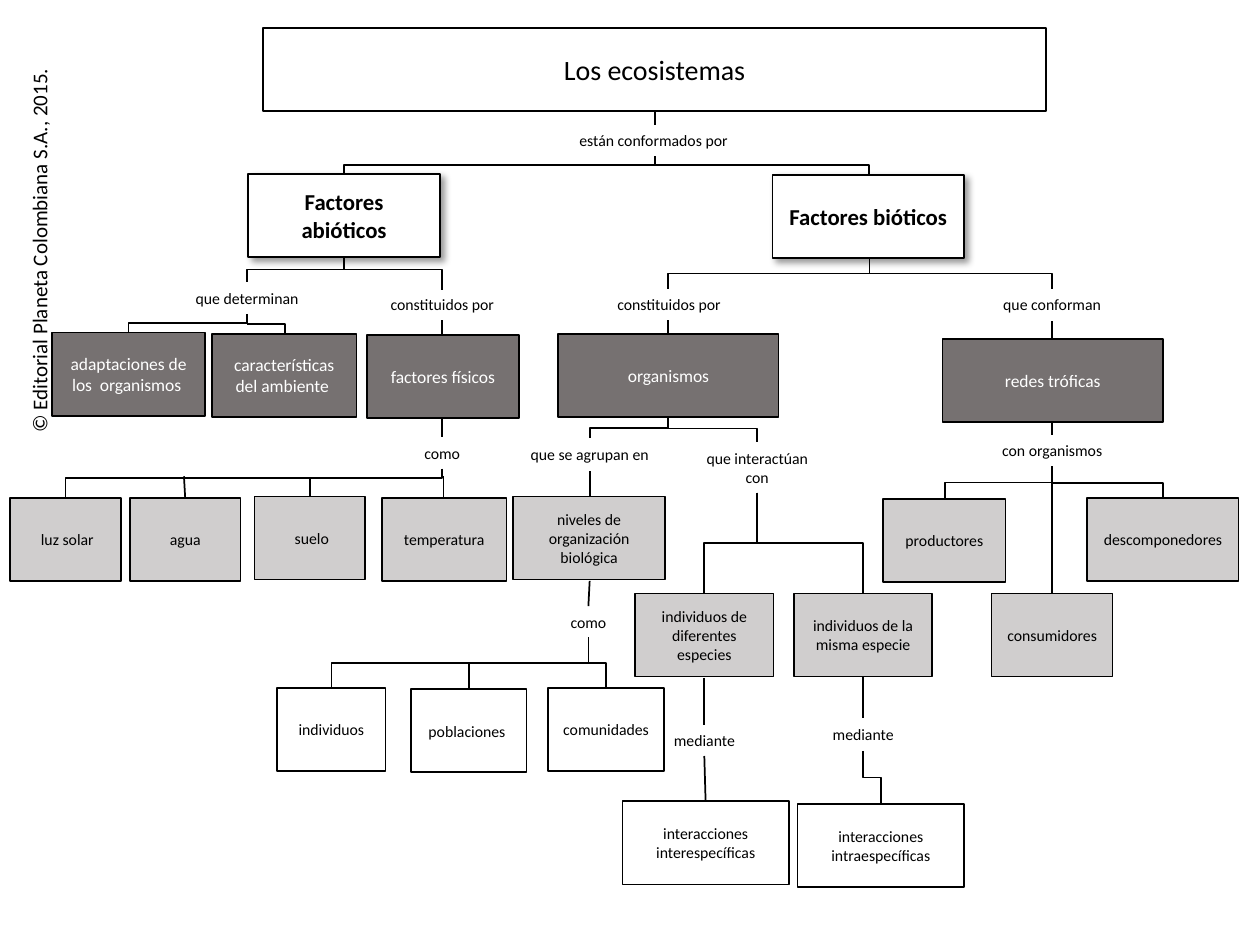
"""Build a concept map of ecosystems on one slide."""
from typing import NamedTuple

from lxml import etree
from pptx import Presentation
from pptx.dml.color import RGBColor
from pptx.enum import shapes, text
from pptx.oxml import ns
from pptx.util import Inches, Pt

COLORS = {"ink": "000000", "paper": "FFFFFF", "dark": "767171", "light": "D0CECE"}
FONT = "Calibri"
BOX_H = 0.66


class Style(NamedTuple):
    fill: str
    ink: str
    size: int
    bold: bool = False
    shadow: bool = False


class Box(NamedTuple):
    x: float
    y: float
    w: float
    words: str


class Label(NamedTuple):
    x: float
    y: float
    w: float
    words: str
    h: float = 0.25


class Line(NamedTuple):
    x1: float
    y1: float
    x2: float
    y2: float


class Elbow(NamedTuple):
    x1: float
    y1: float
    x2: float
    y2: float
    bend: float = 0.5


LEVELS = {
    Style("paper", "ink", 16): [Box(2.09, 0.22, 6.21, "Los ecosistemas")],
    Style("paper", "ink", 13, True, True): [
        Box(1.97, 1.38, 1.52, "Factores abióticos"),
        Box(6.13, 1.39, 1.52, "Factores bióticos"),
    ],
    Style("dark", "paper", 10): [
        Box(0.41, 2.64, 1.22, "adaptaciones de los  organismos "),
        Box(1.68, 2.65, 1.15, "características del ambiente "),
        Box(2.91, 2.66, 1.21, "factores físicos"),
        Box(4.43, 2.65, 1.75, "organismos"),
        Box(7.48, 2.69, 1.75, "redes tróficas"),
    ],
    Style("light", "ink", 9): [
        Box(0.08, 3.95, 0.88, " luz solar"),
        Box(1.03, 3.95, 0.88, "agua"),
        Box(2.02, 3.94, 0.88, " suelo"),
        Box(3.03, 3.95, 0.99, "temperatura"),
        Box(4.07, 3.94, 1.21, "niveles de organización biológica"),
        Box(7.01, 3.96, 0.97, "productores"),
        Box(7.87, 4.71, 0.96, "consumidores"),
        Box(8.63, 3.95, 1.2, "descomponedores"),
        Box(5.04, 4.71, 1.1, "individuos de diferentes especies"),
        Box(6.3, 4.71, 1.1, "individuos de la misma especie"),
    ],
    Style("paper", "ink", 9): [
        Box(2.2, 5.46, 0.86, "individuos"),
        Box(3.26, 5.47, 0.92, "poblaciones "),
        Box(4.35, 5.46, 0.92, "comunidades"),
        Box(4.94, 6.36, 1.32, "interacciones interespecíficas"),
        Box(6.33, 6.38, 1.32, "interacciones intraespecíficas"),
    ],
}

LABELS = [
    Label(4.44, 0.99, 1.52, "están conformados por "),
    Label(1.2, 2.24, 1.52, "que determinan"),
    Label(2.83, 2.29, 1.36, "constituidos por"),
    Label(4.63, 2.29, 1.36, "constituidos por"),
    Label(7.67, 2.29, 1.36, "que conforman"),
    Label(2.83, 3.47, 1.36, "como"),
    Label(4.11, 3.48, 1.14, "que se agrupan en"),
    Label(5.43, 3.51, 1.16, "que interactúan con", 0.4),
    Label(7.59, 3.45, 1.52, "con organismos"),
    Label(3.91, 4.81, 1.52, "como"),
    Label(4.83, 5.75, 1.52, "mediante"),
    Label(6.09, 5.7, 1.52, "mediante"),
]

LINES = [
    Line(5.2, 0.88, 5.2, 0.99), Line(3.51, 2.54, 3.51, 2.66),
    Line(5.3, 2.54, 5.3, 2.65), Line(8.35, 2.55, 8.35, 2.69),
    Line(3.51, 3.32, 3.51, 3.47), Line(8.35, 3.36, 8.35, 3.45),
    Line(1.46, 3.78, 1.47, 3.95), Line(2.46, 3.79, 2.46, 3.94),
    Line(3.52, 3.78, 3.52, 3.95), Line(4.68, 3.74, 4.68, 3.94),
    Line(8.35, 3.83, 8.35, 4.71), Line(4.68, 4.61, 4.67, 4.81),
    Line(3.72, 5.27, 3.72, 5.47), Line(5.59, 5.38, 5.59, 5.75),
    Line(5.59, 6, 5.6, 6.36), Line(6.85, 5.37, 6.85, 5.7),
]

ELBOWS = [
    Elbow(5.2, 1.24, 2.73, 1.38), Elbow(5.2, 1.31, 6.9, 1.39, 0),
    Elbow(2.73, 2.04, 1.96, 2.24), Elbow(2.73, 2.14, 3.51, 2.3, 0),
    Elbow(6.9, 2.05, 5.3, 2.29), Elbow(6.9, 2.17, 8.35, 2.29, 0),
    Elbow(1.96, 2.49, 1.02, 2.64), Elbow(1.96, 2.57, 2.26, 2.65, 0),
    Elbow(5.3, 3.32, 4.68, 3.48), Elbow(5.3, 3.4, 6.01, 3.51, 0),
    Elbow(3.51, 3.72, 0.52, 3.95, 0.31),
    Elbow(8.35, 3.7, 7.5, 3.96), Elbow(8.35, 3.71, 9.23, 3.96),
    Elbow(6.01, 3.91, 5.59, 4.71), Elbow(6.01, 3.91, 6.85, 4.71),
    Elbow(4.67, 5.06, 2.63, 5.46), Elbow(4.67, 5.26, 4.81, 5.46, 0),
    Elbow(6.85, 5.96, 6.99, 6.38),
]


def color(name: str) -> RGBColor:
    """Look up a colour by name."""
    return RGBColor.from_string(COLORS[name])


def write(sp, words: str, size: int, ink: str = "ink", bold: bool = False,
          align=text.PP_ALIGN.CENTER) -> None:
    """Put one run of text in a shape."""
    p = sp.text_frame.paragraphs[0]
    p.alignment = align
    r = p.add_run()
    r.text = words
    r.font.name, r.font.size, r.font.bold = FONT, Pt(size), bold
    r.font.color.rgb = color(ink)


def add_shadow(sp) -> None:
    """Give a shape a soft outer shadow."""
    effects = sp._element.spPr.find(ns.qn("a:effectLst"))
    outer = etree.SubElement(effects, ns.qn("a:outerShdw"), blurRad=str(Pt(4)),
                             dist=str(Pt(3)), dir="2700000", algn="tl", rotWithShape="0")
    tint = etree.SubElement(outer, ns.qn("a:srgbClr"), val=COLORS["ink"])
    etree.SubElement(tint, ns.qn("a:alpha"), val="40000")


def add_box(s, box: Box, style: Style) -> None:
    """Draw a concept box."""
    sp = s.shapes.add_shape(shapes.MSO_SHAPE.RECTANGLE, Inches(box.x), Inches(box.y),
                            Inches(box.w), Inches(BOX_H))
    sp.shadow.inherit = False
    sp.fill.solid()
    sp.fill.fore_color.rgb = color(style.fill)
    sp.line.color.rgb, sp.line.width = color("ink"), Pt(1)
    sp.text_frame.word_wrap = True
    sp.text_frame.vertical_anchor = text.MSO_ANCHOR.MIDDLE
    write(sp, box.words, style.size, style.ink, style.bold)
    if style.shadow:
        add_shadow(sp)


def add_label(s, label: Label) -> None:
    """Draw a linking phrase."""
    sp = s.shapes.add_textbox(Inches(label.x), Inches(label.y), Inches(label.w), Inches(label.h))
    sp.text_frame.word_wrap = True
    sp.text_frame.auto_size = text.MSO_AUTO_SIZE.SHAPE_TO_FIT_TEXT
    write(sp, label.words, 9)


def add_line(s, line: Line, kind=shapes.MSO_CONNECTOR.STRAIGHT):
    """Draw a thin connector and return it."""
    sp = s.shapes.add_connector(kind, *map(Inches, line))
    sp.line.color.rgb, sp.line.width = color("ink"), Pt(1)
    etree.SubElement(sp._element.spPr, ns.qn("a:effectLst"))
    return sp


def add_elbow(s, elbow: Elbow) -> None:
    """Draw a connector that goes down, across and down again."""
    x1, y1, x2, y2, bend = elbow
    w, h = abs(x2 - x1), y2 - y1
    left, top = (x1 + x2 - h) / 2, (y1 + y2 - w) / 2
    sp = add_line(s, Line(left, top, left + h, top + w), shapes.MSO_CONNECTOR.ELBOW)
    xfrm = sp._element.spPr.find(ns.qn("a:xfrm"))
    xfrm.set("rot", "16200000" if x2 > x1 else "5400000")
    if x2 > x1:
        xfrm.set("flipH", "1")
    guides = sp._element.spPr.find(ns.qn("a:prstGeom")).find(ns.qn("a:avLst"))
    etree.SubElement(guides, ns.qn("a:gd"), name="adj1", fmla=f"val {round(bend * 100000)}")


def add_copyright(s) -> None:
    """Write the copyright line up the left edge."""
    sp = s.shapes.add_textbox(Inches(-1.25), Inches(1.82), Inches(3.12), Inches(0.3))
    sp.rotation = 270
    sp.text_frame.word_wrap = False
    sp.text_frame.auto_size = text.MSO_AUTO_SIZE.SHAPE_TO_FIT_TEXT
    write(sp, "© Editorial Planeta Colombiana S.A., 2015.", 12, align=text.PP_ALIGN.LEFT)


def main() -> None:
    """Build and save the slide."""
    prs = Presentation()
    prs.slide_width, prs.slide_height = Inches(10), Inches(7.5)
    s = prs.slides.add_slide(prs.slide_layouts[6])
    add_copyright(s)
    for line in LINES:
        add_line(s, line)
    for elbow in ELBOWS:
        add_elbow(s, elbow)
    for style, boxes in LEVELS.items():
        for box in boxes:
            add_box(s, box, style)
    for label in LABELS:
        add_label(s, label)
    prs.save("out.pptx")


if __name__ == "__main__":
    main()
